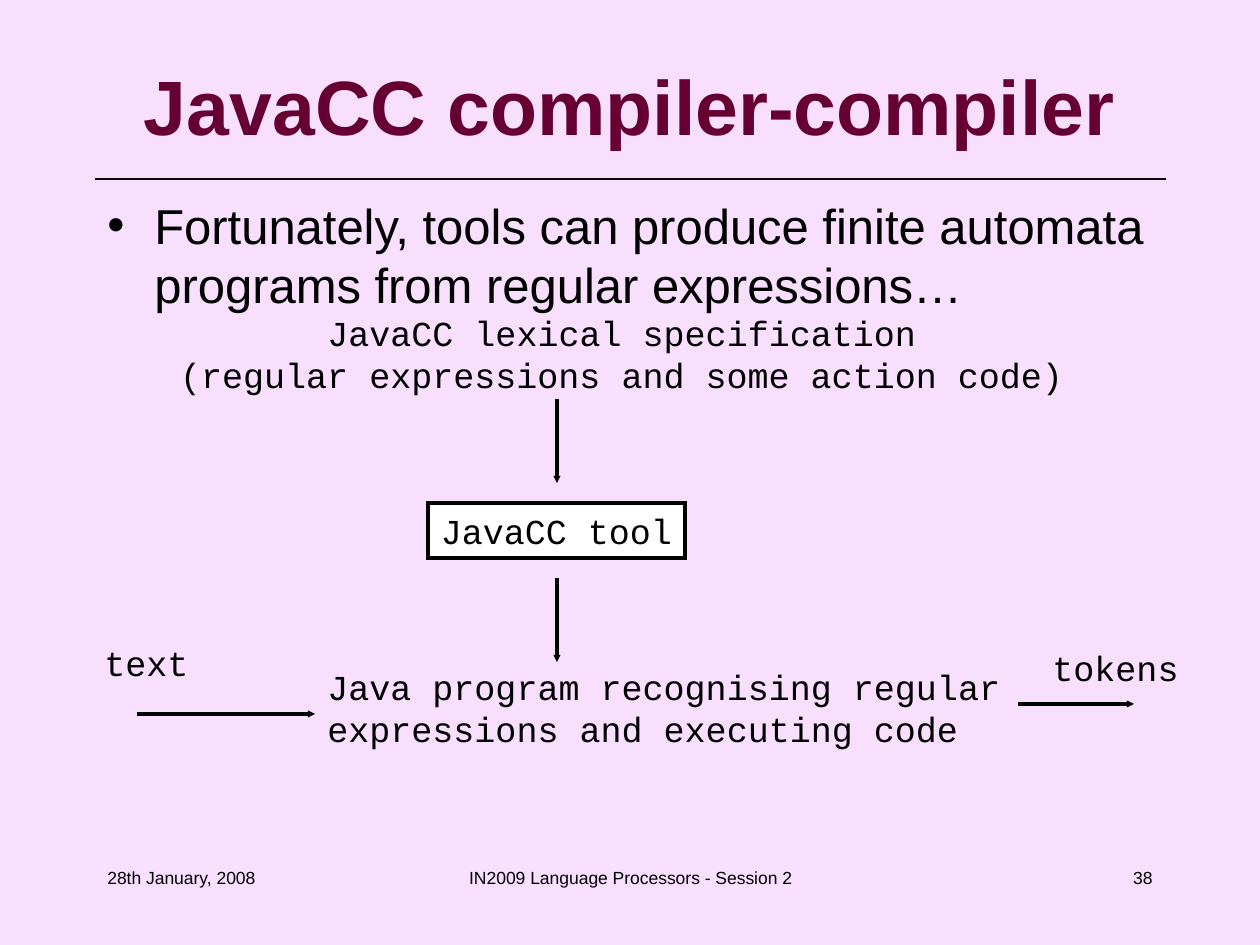
from lxml import etree
from pptx import Presentation
from pptx.dml.color import RGBColor
from pptx.enum.shapes import MSO_CONNECTOR, MSO_SHAPE
from pptx.enum.text import MSO_ANCHOR, MSO_AUTO_SIZE, PP_ALIGN
from pptx.oxml.ns import qn
from pptx.util import Pt

LEFT, CENTER, RIGHT = PP_ALIGN.LEFT, PP_ALIGN.CENTER, PP_ALIGN.RIGHT
TOP, MIDDLE = MSO_ANCHOR.TOP, MSO_ANCHOR.MIDDLE
STRAIGHT, RECTANGLE = MSO_CONNECTOR.STRAIGHT, MSO_SHAPE.RECTANGLE
FIT_SHAPE, NO_FIT = MSO_AUTO_SIZE.SHAPE_TO_FIT_TEXT, MSO_AUTO_SIZE.NONE

BLACK = RGBColor(0, 0, 0)
WHITE = RGBColor(255, 255, 255)
PINK = RGBColor(0xF7, 0xDF, 0xFD)
MAROON = RGBColor(0x66, 0x00, 0x33)

PX = 914400 / 126
BULLET_INDENT = 47

TITLE_FONT = {"name": "Arial", "size": Pt(44), "bold": True}
BODY_FONT = {"name": "Arial", "size": Pt(28)}
DIAGRAM_FONT = {"name": "Courier New", "size": Pt(20)}
FOOTER_FONT = {"name": "Arial", "size": Pt(10)}

# Content: lengths in px
TITLE = ("JavaCC compiler-compiler", (63, 42, 1134, 126))
BODY = ("Fortunately, tools can produce finite automata "
        "from regular expressions…".replace("from", "programs from"),
        (95, 189, 1071, 651))
BODY = ("Fortunately, tools can produce finite automata programs "
        "from regular expressions…", (95, 189, 1071, 651))
TOOL = ("JavaCC tool", (428, 503, 257, 55))
LABELS = [
    (["JavaCC lexical specification",
      "(regular expressions and some action code)"], (164, 305, 916, 97), CENTER),
    (["Java program recognising regular",
      "expressions and executing code"], (315, 659, 706, 97), LEFT),
    (["text"], (92, 635, 118, 55), LEFT),
    (["tokens"], (1040, 640, 159, 55), LEFT),
]
ARROWS = [  # x1, y1, x2, y2
    (557, 399, 557, 483),
    (557, 578, 557, 662),
    (137, 714, 315, 714),
    (1018, 704, 1134, 704),
]
RULE = (95, 179, 1166, 179)
FOOTER_TOP, FOOTER_HEIGHT = 861, 63
FOOTERS = [  # text, left, width, alignment
    ("28th January, 2008", 95, 262, LEFT),
    ("IN2009 Language Processors - Session 2", 431, 399, CENTER),
    ("38", 903, 262, RIGHT),
]


def emu(lengths):
    return [round(length * PX) for length in lengths]


def write(box, lines, font, align=LEFT, anchor=TOP, wrap=True, color=BLACK):
    frame = box.text_frame
    frame.auto_size = NO_FIT if wrap else FIT_SHAPE
    frame.word_wrap = wrap
    frame.vertical_anchor = anchor
    for index, line in enumerate(lines):
        para = frame.add_paragraph() if index else frame.paragraphs[0]
        para.alignment = align
        span = para.add_run()
        span.text = line
        for name, value in font.items():
            setattr(span.font, name, value)
        span.font.color.rgb = color
    return box


def add_text(page, place, lines, font, **layout):
    return write(page.shapes.add_textbox(*emu(place)), lines, font, **layout)


def style_line(line, width):
    line.color.rgb = BLACK
    line.width = Pt(width)
    properties = line._get_or_add_ln()
    etree.SubElement(properties, qn("a:miter"), lim="800000")
    return properties


def add_line(page, ends, width, arrow=False):
    line = page.shapes.add_connector(STRAIGHT, *emu(ends))
    properties = style_line(line.line, width)
    if arrow:
        etree.SubElement(properties, qn("a:tailEnd"), type="triangle", w="sm", len="sm")
    etree.SubElement(line._element.spPr, qn("a:effectLst"))


def add_bullet(para):
    properties = para._p.get_or_add_pPr()
    indent = round(BULLET_INDENT * PX)
    properties.set("marL", str(indent))
    properties.set("indent", str(-indent))
    color = etree.SubElement(properties, qn("a:buClr"))
    etree.SubElement(color, qn("a:srgbClr"), val=str(BLACK))
    etree.SubElement(properties, qn("a:buFont"), typeface="Arial")
    etree.SubElement(properties, qn("a:buChar"), char="•")


def main():
    deck = Presentation()
    deck.slide_width, deck.slide_height = emu((1260, 945))
    page = deck.slides.add_slide(deck.slide_layouts[6])
    page.background.fill.solid()
    page.background.fill.fore_color.rgb = PINK

    # Heading and bullet
    add_line(page, RULE, 0.75)
    text, place = TITLE
    add_text(page, place, [text], TITLE_FONT, align=CENTER, anchor=MIDDLE, color=MAROON)
    text, place = BODY
    body = add_text(page, place, [text], BODY_FONT)
    add_bullet(body.text_frame.paragraphs[0])

    # Diagram
    text, place = TOOL
    tool = page.shapes.add_shape(RECTANGLE, *emu(place))
    tool.shadow.inherit = False
    tool.fill.solid()
    tool.fill.fore_color.rgb = WHITE
    style_line(tool.line, 2)
    write(tool, [text], DIAGRAM_FONT, align=CENTER, anchor=MIDDLE, wrap=False)
    for lines, place, align in LABELS:
        add_text(page, place, lines, DIAGRAM_FONT, align=align, wrap=False)
    for ends in ARROWS:
        add_line(page, ends, 2, arrow=True)

    # Footer
    for text, left, width, align in FOOTERS:
        place = (left, FOOTER_TOP, width, FOOTER_HEIGHT)
        add_text(page, place, [text], FOOTER_FONT, align=align)

    deck.save("out.pptx")


if __name__ == "__main__":
    main()
